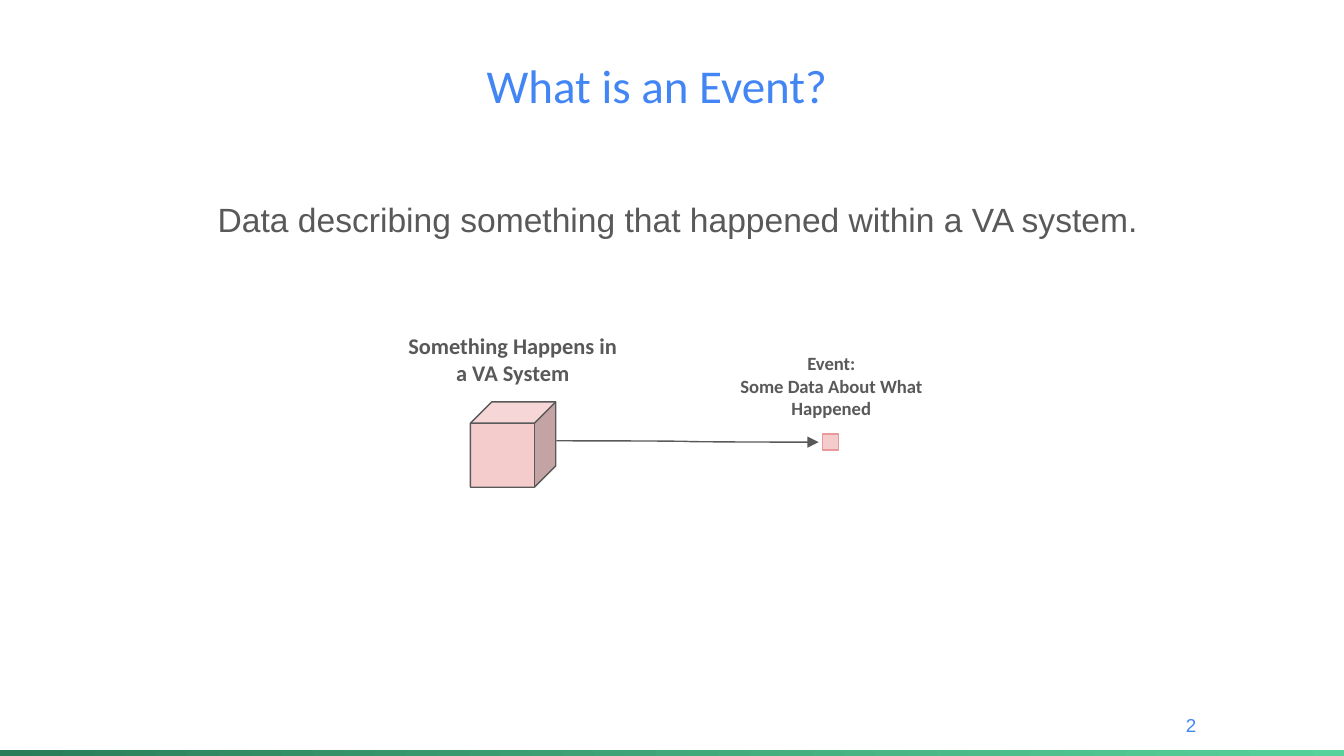
from lxml.etree import SubElement
from pptx import Presentation
from pptx.dml.color import RGBColor
from pptx.enum.shapes import MSO_CONNECTOR, MSO_SHAPE
from pptx.enum.text import MSO_ANCHOR, MSO_AUTO_SIZE, PP_ALIGN
from pptx.oxml.ns import qn
from pptx.util import Inches, Pt

COLS, ROWS = 100, 56.25
BLUE, GREY, PINK, ROSE, WHITE = "4285F4", "595959", "F4CCCC", "EA9999", "FFFFFF"
DARK_GREEN, LIGHT_GREEN = "297D58", "57D29B"


def rgb(code):
    """Turn a hex string into a colour."""
    return RGBColor.from_string(code)


def cells(*counts):
    """Turn counts of grid columns or rows into lengths."""
    return [Inches(n / 10) for n in counts]


def write(sp, text, size, color, font="Calibri", bold=False,
          align=PP_ALIGN.LEFT, anchor=MSO_ANCHOR.TOP):
    """Fill a text shape with evenly styled paragraphs."""
    tf = sp.text_frame
    tf.text = text
    tf.word_wrap = True
    tf.auto_size = MSO_AUTO_SIZE.NONE
    tf.vertical_anchor = anchor
    tf.margin_left = tf.margin_top = tf.margin_right = tf.margin_bottom = Inches(0.1)
    for p in tf.paragraphs:
        p.alignment = align
        p.space_before = Pt(0)
        for r in p.runs:
            r.font.size, r.font.name, r.font.bold = Pt(size), font, bold
            r.font.color.rgb = rgb(color)


def add_text(s, box, text, size, color, **style):
    """Add a text box on the grid."""
    write(s.shapes.add_textbox(*cells(*box)), text, size, color, **style)


def fill_placeholder(sp, box, text, size, color, **style):
    """Move a placeholder onto the grid and write in it without a bullet."""
    sp.left, sp.top, sp.width, sp.height = cells(*box)
    write(sp, text, size, color, **style)
    for p in sp.text_frame.paragraphs:
        pPr = p._p.get_or_add_pPr()
        pPr.set("marL", "0")
        pPr.set("indent", "0")
        SubElement(pPr, qn("a:buNone"))


def add_solid(s, kind, box, line, width):
    """Add a pink outlined shape on the grid."""
    sp = s.shapes.add_shape(kind, *cells(*box))
    sp.shadow.inherit = False
    sp.fill.solid()
    sp.fill.fore_color.rgb = rgb(PINK)
    sp.line.color.rgb = rgb(line)
    sp.line.width = Pt(width)


def add_footer_bar(s, box):
    """Add the green gradient bar."""
    sp = s.shapes.add_shape(MSO_SHAPE.RECTANGLE, *cells(*box))
    sp.shadow.inherit = False
    sp.line.fill.background()
    sp.fill.gradient()
    sp.fill.gradient_angle = 0
    for stop, color in zip(sp.fill.gradient_stops, (DARK_GREEN, LIGHT_GREEN)):
        stop.color.rgb = rgb(color)


def add_curved_arrow(s, ends):
    """Add a curved connector with an arrowhead at its end."""
    cxn = s.shapes.add_connector(MSO_CONNECTOR.CURVE, *cells(*ends))
    cxn.line.color.rgb = rgb(GREY)
    cxn.line.width = Pt(0.75)
    SubElement(cxn.line._get_or_add_ln(), qn("a:tailEnd"), type="triangle")
    SubElement(cxn._element.spPr, qn("a:effectLst"))


def main():
    """Build the slide and save it."""
    prs = Presentation()
    prs.slide_width, prs.slide_height = cells(COLS, ROWS)
    s = prs.slides.add_slide(prs.slide_layouts[1])
    title, body = s.placeholders
    add_footer_bar(s, (0, 55.8, COLS, 0.6))
    fill_placeholder(title, (35.2, 3.2, 31.9, 6.3), "What is an Event?", 25.2, BLUE)
    fill_placeholder(body, (15.2, 13.8, 80, 9.1),
                     "Data describing something that happened within a VA system.",
                     18, GREY, font="Arial")
    add_curved_arrow(s, (41.4, 32.8, 60.9, 32.9))
    add_solid(s, MSO_SHAPE.CUBE, (35, 29.9, 6.35, 6.35), GREY, 0.75)
    for line, width in ((WHITE, 3), (ROSE, 0.75)):
        add_solid(s, MSO_SHAPE.RECTANGLE, (61.2, 32.3, 1.2, 1.2), line, width)
    label = {"bold": True, "align": PP_ALIGN.CENTER}
    add_text(s, (28.9, 23.7, 18.5, 6.1), "Something Happens in a VA System",
             12, GREY, **label)
    add_text(s, (52.6, 25.2, 18.5, 7.1), "Event:\nSome Data About What Happened",
             10, GREY, **label)
    add_text(s, (84, 51.8, 6, 4.3), "2", 10, BLUE, font="Arial",
             align=PP_ALIGN.RIGHT, anchor=MSO_ANCHOR.MIDDLE)
    prs.save("out.pptx")


if __name__ == "__main__":
    main()
